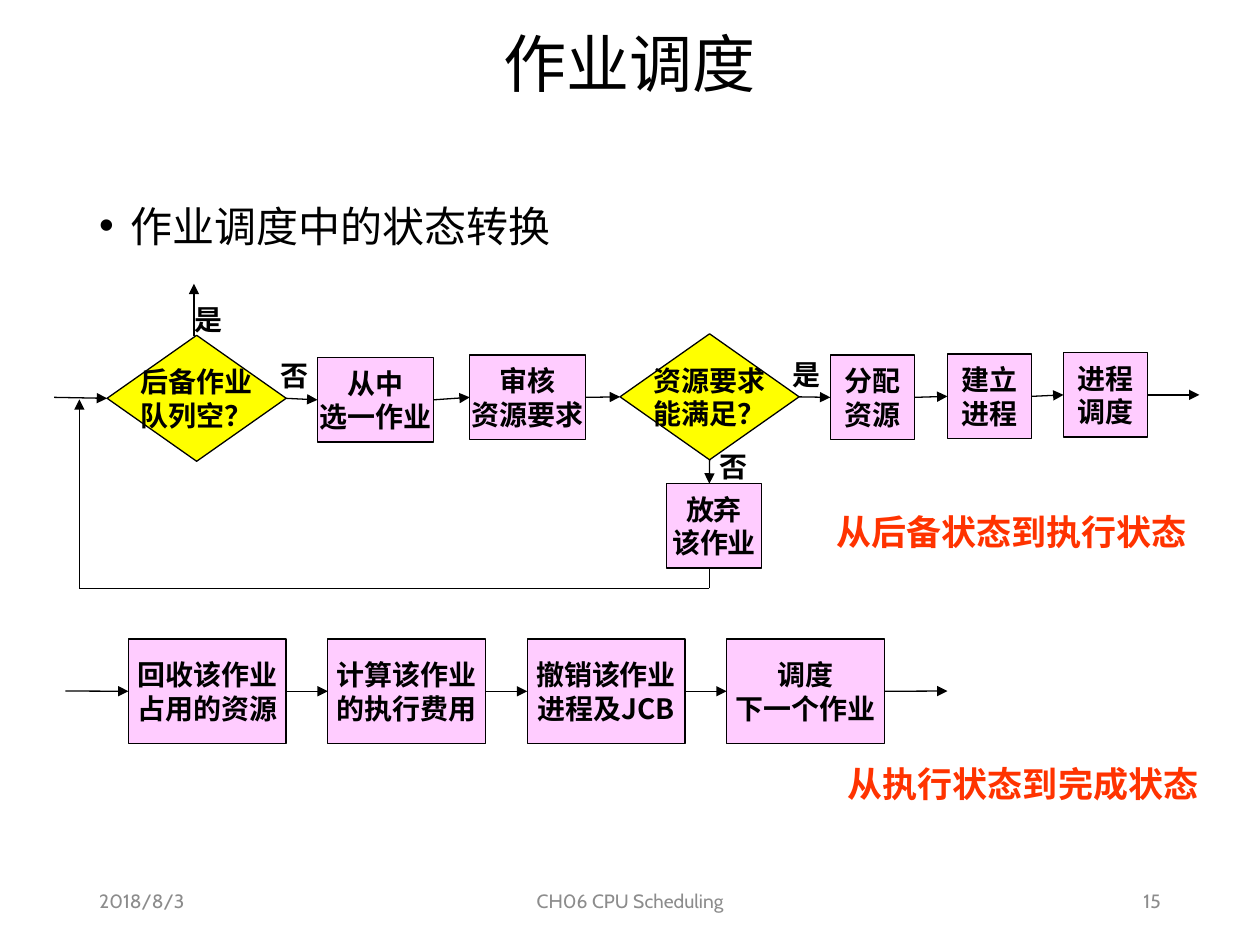
import itertools

import pptx
import pptx.dml.color
import pptx.enum.shapes
import pptx.enum.text
import pptx.oxml
import pptx.oxml.ns
import pptx.util

Cm, Pt = pptx.util.Cm, pptx.util.Pt
MSO = pptx.enum.shapes.MSO_SHAPE
ALIGN = pptx.enum.text.PP_ALIGN
ANCHOR = pptx.enum.text.MSO_ANCHOR
FIT = pptx.enum.text.MSO_AUTO_SIZE

HUES = {"ink": "000000", "step": "FFCCFF", "test": "FFFF00",
        "note": "FF3300", "foot": "8C8C8C"}
HAN, LATIN = "Noto Sans CJK SC", "Cabin"
LEFT, BOTTOM, RIGHT = 1, 2, 3


def hue(key):
    return pptx.dml.color.RGBColor.from_string(HUES[key])


def add_xml(host, tag, **attrs):
    node = pptx.oxml.parse_xml(f'<a:{tag} {pptx.oxml.ns.nsdecls("a")}/>')
    for key, value in attrs.items():
        node.set(key, value)
    host.append(node)


class Sheet:
    """Holds the style and the slide being filled."""

    def __init__(self, slide):
        self.slide = slide
        self.shapes = slide.shapes
        self.bold = {"size": Pt(16), "bold": True, "name": HAN}

    def letter(self, shape, text, font, color="ink", para=None, **frame):
        body = shape.text_frame
        for key, value in frame.items():
            setattr(body, key, value)
        body.text = text
        for item in body.paragraphs:
            for key, value in (para or {}).items():
                setattr(item, key, value)
            for run in item.runs:
                for key, value in font.items():
                    setattr(run.font, key, value)
                run.font.color.rgb = hue(color)
                add_xml(run._r.get_or_add_rPr(), "ea", typeface=font["name"])

    def title(self, text, box):
        shape = self.shapes.title
        for key, value in zip(("left", "top", "width", "height"), box):
            setattr(shape, key, Cm(value))
        self.letter(shape, text, {"size": Pt(36), "name": HAN},
                    para={"alignment": ALIGN.CENTER, "line_spacing": 0.9},
                    vertical_anchor=ANCHOR.MIDDLE)

    def text(self, text, box, font, color="ink", para=None, **frame):
        shape = self.shapes.add_textbox(*map(Cm, box))
        self.letter(shape, text, font, color, para, word_wrap=True, **frame)
        return shape

    def bullet(self, text, box):
        shape = self.text(text, box, {"size": Pt(24), "name": HAN},
                          para={"line_spacing": 1.25, "space_before": Pt(10)})
        props = shape.text_frame.paragraphs[0]._p.get_or_add_pPr()
        props.set("marL", str(Cm(0.64)))
        props.set("indent", str(-Cm(0.64)))
        add_xml(props, "buFont", typeface="Arial")
        add_xml(props, "buChar", char="•")

    def label(self, text, left, top):
        self.text(text, (left, top, 1.07, 0.94), self.bold,
                  auto_size=FIT.SHAPE_TO_FIT_TEXT)

    def note(self, text, left, top):
        self.text(text, (left, top, 7.82, 1.09),
                  {**self.bold, "size": Pt(20)}, "note",
                  auto_size=FIT.SHAPE_TO_FIT_TEXT)

    def node(self, text, box, kind=MSO.RECTANGLE, color="step"):
        shape = self.shapes.add_shape(kind, *map(Cm, box))
        shape.shadow.inherit = False
        shape.fill.solid()
        shape.fill.fore_color.rgb = hue(color)
        shape.line.color.rgb = hue("ink")
        shape.line.width = Pt(0.75)
        self.letter(shape, text, self.bold, para={"alignment": ALIGN.CENTER},
                    word_wrap=False, vertical_anchor=ANCHOR.MIDDLE)
        return shape

    def test(self, text, left, top):
        return self.node(text, (left, top, 3.61, 2.54),
                         MSO.FLOWCHART_DECISION, "test")

    def line(self, start, end, arrow=True):
        """Each end is a point in cm or a pair of shape and side."""
        ends = [(0, 0) if hasattr(e[0], "text_frame") else e
                for e in (start, end)]
        wire = self.shapes.add_connector(
            pptx.enum.shapes.MSO_CONNECTOR.STRAIGHT,
            *map(Cm, ends[0] + ends[1]))
        for link, spot in ((wire.begin_connect, start),
                           (wire.end_connect, end)):
            if hasattr(spot[0], "text_frame"):
                link(*spot)
        wire.line.color.rgb = hue("ink")
        wire.line.width = Pt(0.75)
        props = wire._element.spPr
        if arrow:
            add_xml(props.get_or_add_ln(), "tailEnd", type="triangle")
        add_xml(props, "effectLst")

    def chain(self, start, nodes, end):
        """Arrows from a start point through the nodes to an end point."""
        self.line(start, (nodes[0], LEFT))
        for one, two in itertools.pairwise(nodes):
            self.line((one, RIGHT), (two, LEFT))
        self.line((nodes[-1], RIGHT), end)


def main():
    deck = pptx.Presentation()
    deck.slide_width, deck.slide_height = Cm(25.4), Cm(19.05)
    sheet = Sheet(deck.slides.add_slide(deck.slide_layouts[5]))

    # Heading
    sheet.title("作业调度", (1.73, 0.38, 21.9, 1.93))
    sheet.bullet("作业调度中的状态转换", (1.75, 3.66, 21.9, 13.67))

    # Footer
    for text, left, width, side in (
            ("2018/8/3", 1.75, 5.72, ALIGN.LEFT),
            ("CH06 CPU Scheduling", 8.41, 8.59, ALIGN.CENTER),
            ("15", 17.93, 5.72, ALIGN.RIGHT)):
        sheet.text(text, (left, 17.65, width, 1.02),
                   {"size": Pt(11), "name": LATIN}, "foot",
                   {"alignment": side}, vertical_anchor=ANCHOR.MIDDLE)

    # From waiting to running
    empty = sheet.test("后备作业\n队列空？", 2.16, 6.76)
    pick, check = [sheet.node(text, (left, top, 2.34, 1.7))
                   for text, left, top in (("从中\n选一作业", 6.4, 7.21),
                                           ("审核\n资源要求", 9.47, 7.16))]
    enough = sheet.test("资源要求\n能满足？", 12.5, 6.73)
    last = [sheet.node(text, (left, top, 1.7, 1.7))
            for text, left, top in (("分配\n资源", 16.74, 7.16),
                                    ("建立\n进程", 19.1, 7.14),
                                    ("进程\n调度", 21.44, 7.11))]
    sheet.chain((1.09, 8.01), [empty, pick, check, enough, *last],
                (24.18, 7.96))
    sheet.line((3.91, 6.78), (3.91, 5.72))

    # Rejected job and the way back
    sheet.node("放弃\n该作业", (13.44, 9.75, 1.91, 1.7))
    sheet.line((enough, BOTTOM), (14.3, 9.75))
    back = [(14.3, 11.45), (14.3, 11.86), (1.6, 11.86), (1.6, 8.05)]
    for start, end in itertools.pairwise(back):
        sheet.line(start, end, arrow=end == back[-1])

    # Answers at the tests
    for text, left, top in (("是", 3.68, 5.97), ("否", 5.41, 7.11),
                            ("是", 15.72, 7.09), ("否", 14.25, 8.94)):
        sheet.label(text, left, top)

    # From running to done
    steps = ("回收该作业\n占用的资源", "计算该作业\n的执行费用",
             "撤销该作业\n进程及JCB", "调度\n下一个作业")
    nodes = [sheet.node(text, (2.59 + 4.02 * i, 12.88, 3.18, 2.11))
             for i, text in enumerate(steps)]
    sheet.chain((1.32, 13.93), nodes, (19.1, 13.93))

    # Captions
    sheet.note("从后备状态到执行状态", 16.61, 10.16)
    sheet.note("从执行状态到完成状态", 16.84, 15.24)

    deck.save("out.pptx")


if __name__ == "__main__":
    main()
